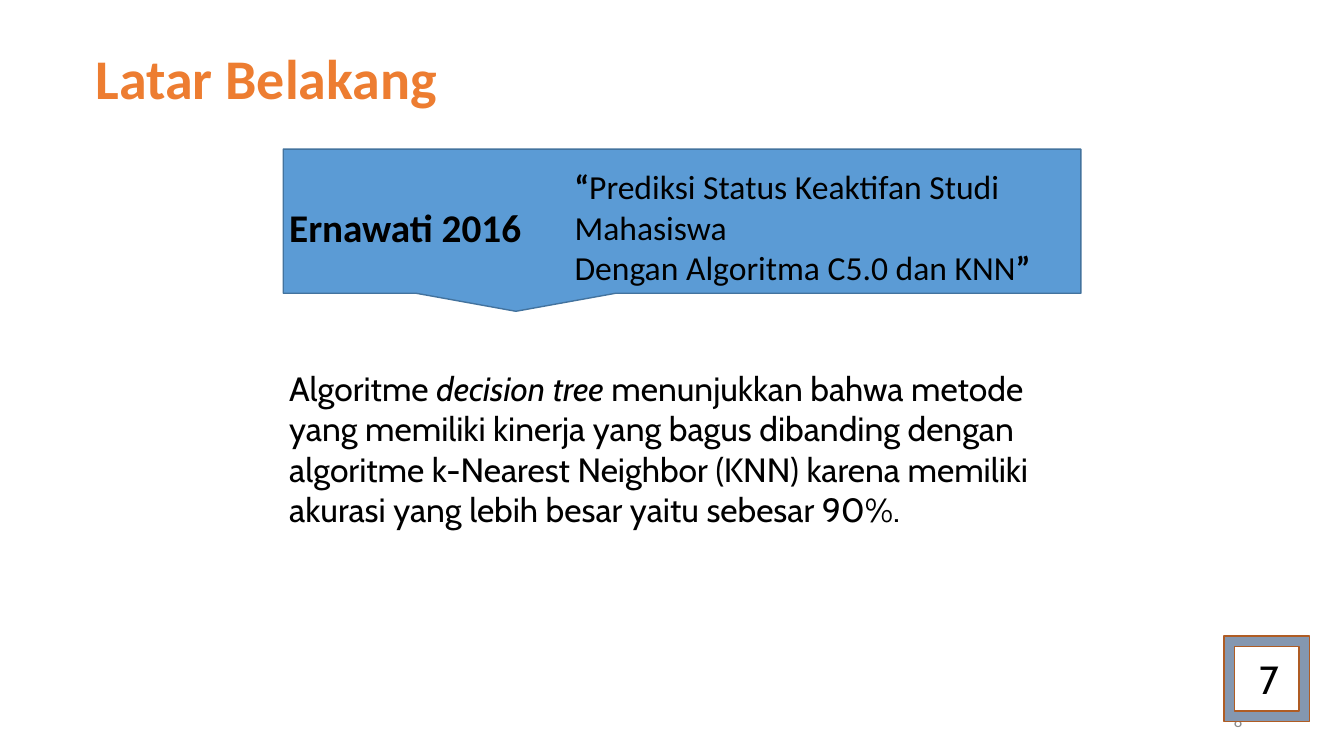
import pptx
import pptx.util
import pptx.dml.color
import pptx.enum.shapes
import pptx.enum.text

Inches = pptx.util.Inches
Pt = pptx.util.Pt
SHAPE = pptx.enum.shapes.MSO_SHAPE
ALIGN = pptx.enum.text.PP_ALIGN
ANCHOR = pptx.enum.text.MSO_ANCHOR
SIZE = pptx.enum.text.MSO_AUTO_SIZE

HUES = {
    "black": "000000", "title": "ED7D31", "gray": "8C8C8C",
    "blue": "5B9BD5", "edge": "43739E", "slate": "8497B0", "rust": "AF5C24",
}


def color(name):
    return pptx.dml.color.RGBColor.from_string(HUES[name])


def write(shape, lines, size, face="Calibri", hue="black", align=ALIGN.LEFT):
    """Fill a shape with lines, each a list of (text, style); style holds b and i."""
    frame = shape.text_frame
    for i, line in enumerate(lines):
        para = frame.paragraphs[0] if i == 0 else frame.add_paragraph()
        para.alignment = align
        for text, style in line:
            run = para.add_run()
            run.text = text
            font = run.font
            font.name, font.size = face, Pt(size)
            font.bold, font.italic = "b" in style, "i" in style
            font.color.rgb = color(hue)


deck = pptx.Presentation()
deck.slide_width, deck.slide_height = Inches(13.33), Inches(7.5)
slide = deck.slides.add_slide(deck.slide_layouts[5])

# Title
title = slide.shapes.title
title.left, title.top = Inches(0.85), Inches(0.38)
title.width, title.height = Inches(6.21), Inches(0.75)
title.text_frame.auto_size = SIZE.NONE
title.text_frame.vertical_anchor = ANCHOR.TOP
write(title, [[("Latar Belakang", "b")]], 40, hue="title")

# Slide number, partly behind the frame
num = slide.shapes.add_textbox(Inches(9.42), Inches(6.95), Inches(3), Inches(0.4))
num.text_frame.word_wrap = True
num.text_frame.vertical_anchor = ANCHOR.MIDDLE
write(num, [[("8", "")]], 12, hue="gray", align=ALIGN.RIGHT)

# Callout and page frame
for kind, box, fill, edge in [
    (SHAPE.RECTANGULAR_CALLOUT, (2.81, 1.48, 7.91, 1.43), "blue", "edge"),
    (SHAPE.FRAME, (12.14, 6.31, 0.85, 0.85), "slate", "rust"),
]:
    shape = slide.shapes.add_shape(kind, *map(Inches, box))
    shape.shadow.inherit = False
    shape.fill.solid()
    shape.fill.fore_color.rgb = color(fill)
    shape.line.color.rgb = color(edge)
    shape.line.width = Pt(1)

# Texts
study = [
    [("“", "b"), ("Prediksi Status Keaktifan Studi Mahasiswa", "")],
    [("Dengan Algoritma C5.0 dan KNN", ""), ("”", "b")],
]
result = [
    [("Algoritme ", ""), ("decision tree ", "i"), ("menunjukkan bahwa metode", "")],
    [("yang memiliki kinerja yang bagus dibanding dengan", "")],
    [("algoritme k-Nearest Neighbor (KNN) karena memiliki", "")],
    [("akurasi yang lebih besar yaitu sebesar 90%.", "")],
]
for box, lines, size, face, wrap in [
    ((5.6, 1.6, 5.28, 1.31), study, 24, "Calibri", True),
    ((2.77, 1.97, 5.42, 0.57), [[("Ernawati 2016", "b")]], 28, "Calibri", True),
    ((2.77, 3.6, 8.85, 1.72), result, 24, "Cabin", True),
    ((12.39, 6.45, 0.4, 0.57), [[("7", "")]], 28, "Cabin", False),
]:
    text = slide.shapes.add_textbox(*map(Inches, box))
    text.text_frame.word_wrap = wrap
    text.text_frame.auto_size = SIZE.SHAPE_TO_FIT_TEXT
    write(text, lines, size, face)

deck.save("out.pptx")
